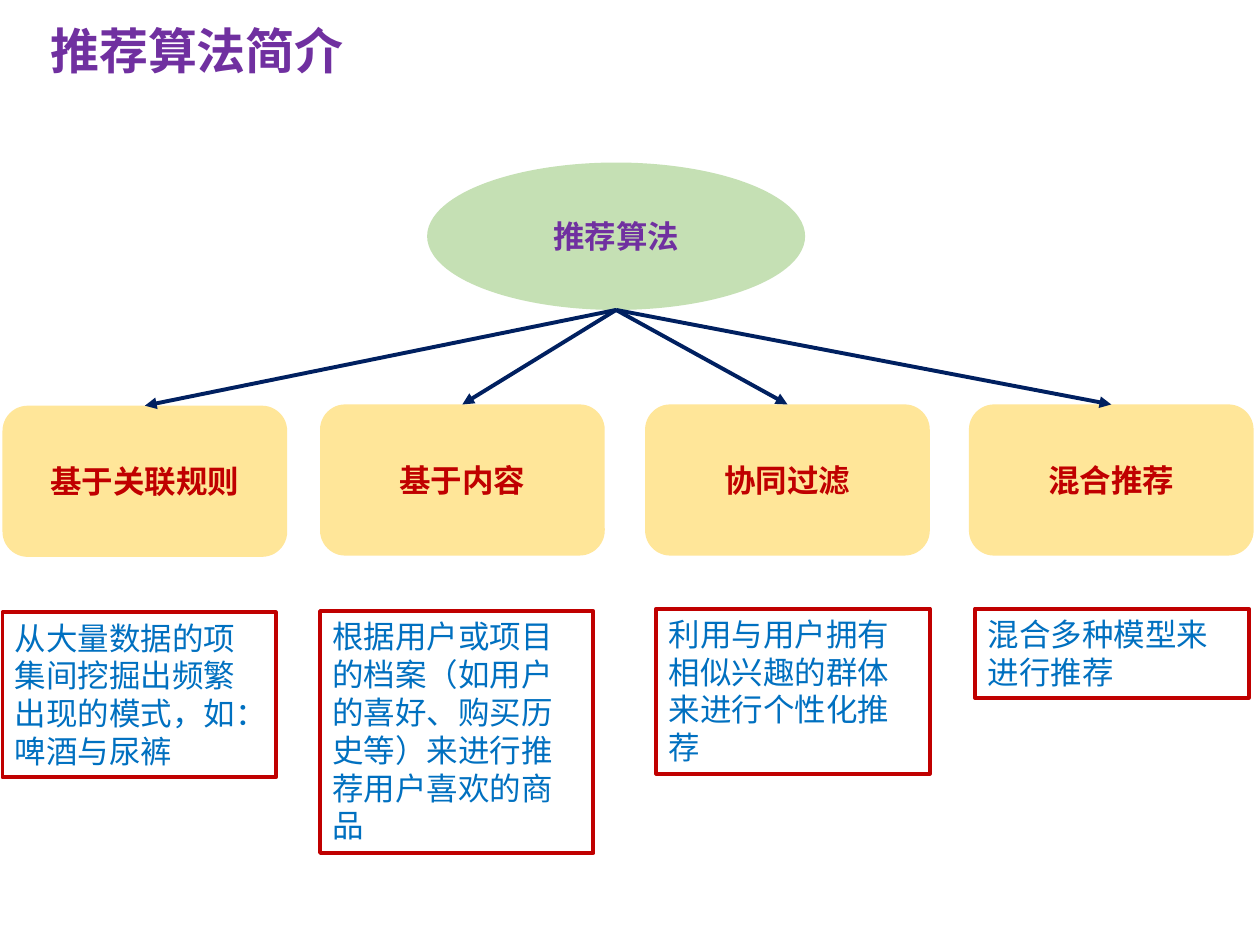
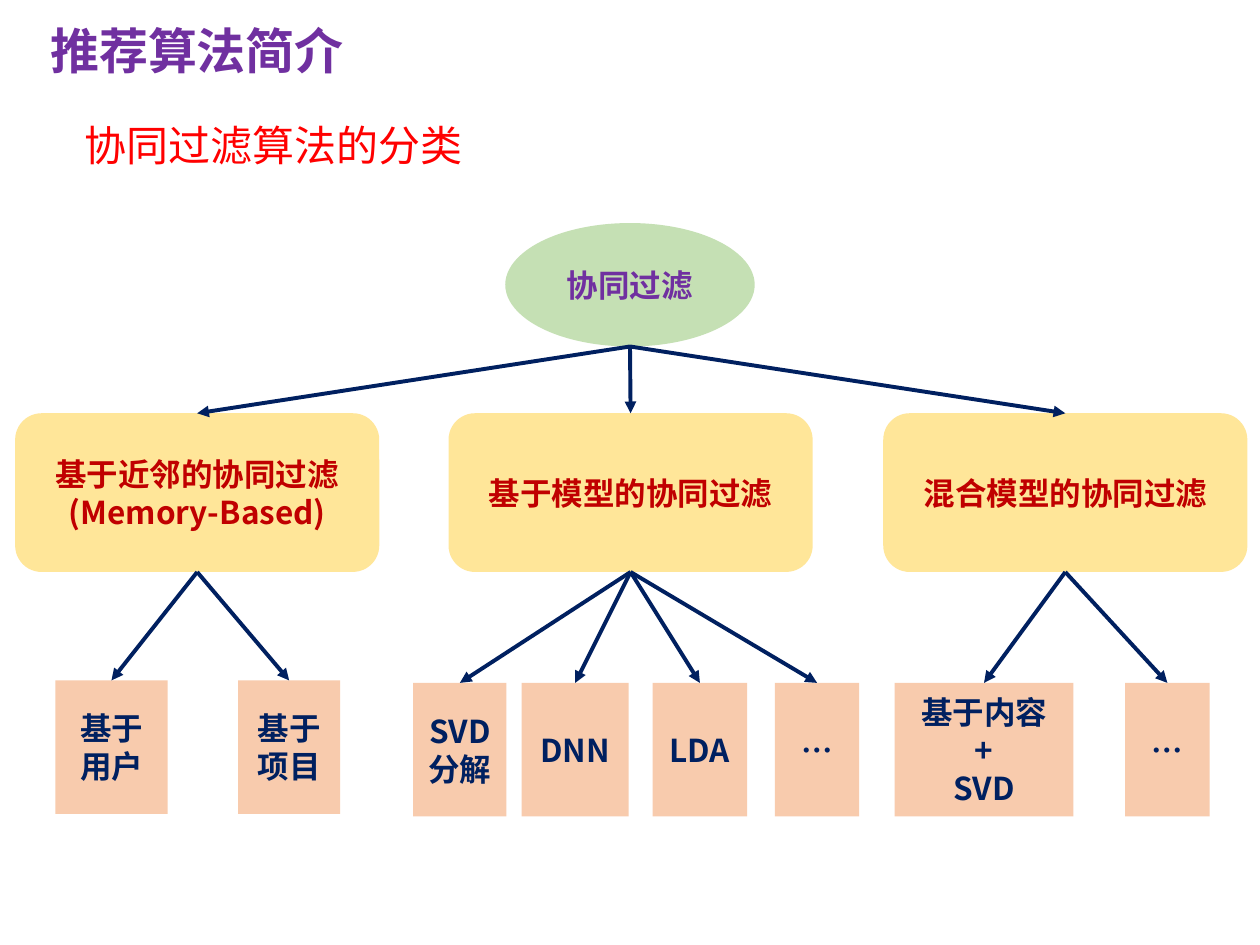
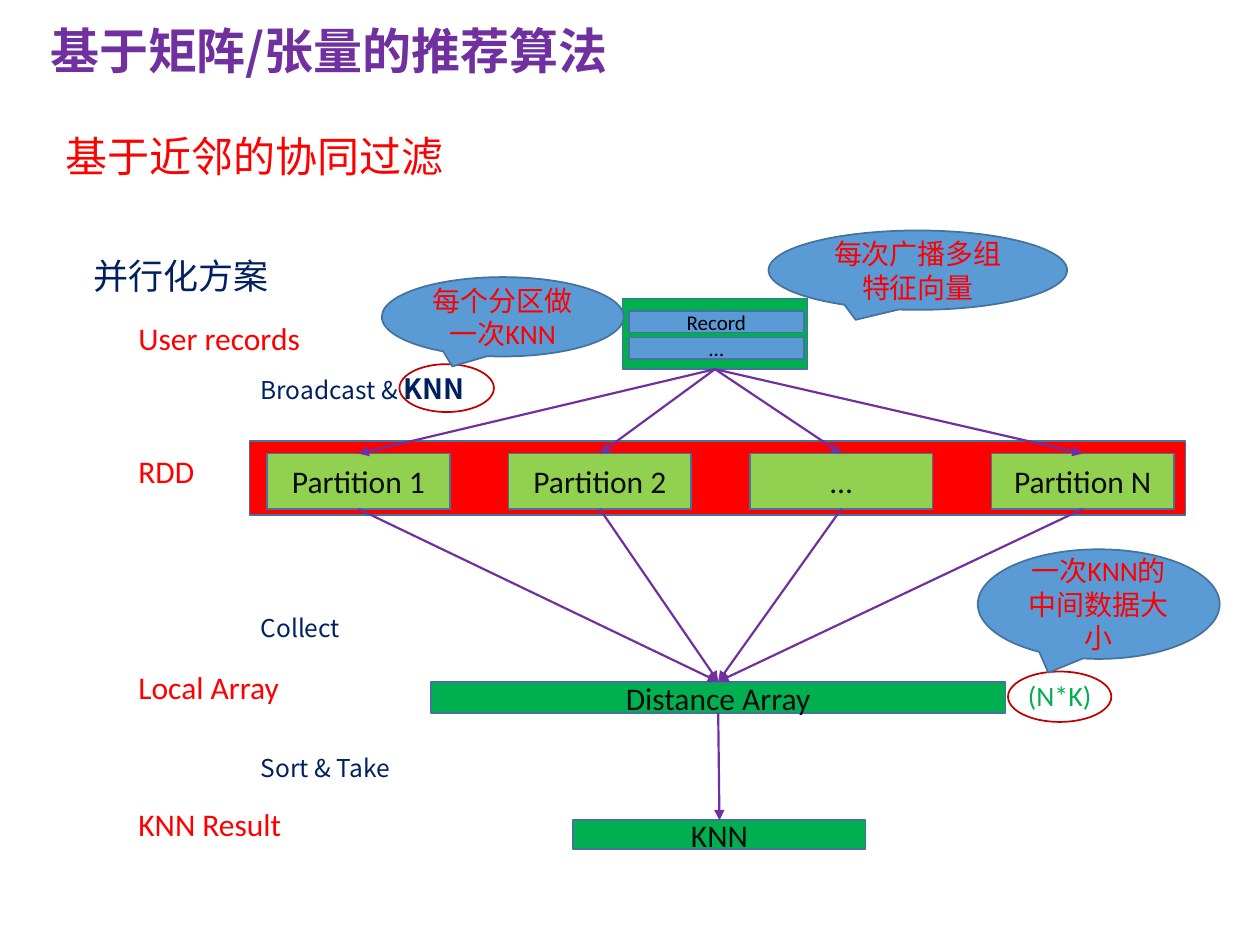
from dataclasses import dataclass
from typing import NamedTuple, Optional

from lxml.etree import SubElement
from pptx import Presentation
from pptx.dml.color import RGBColor
from pptx.enum.shapes import MSO_CONNECTOR, MSO_SHAPE
from pptx.enum.text import MSO_ANCHOR, PP_ALIGN
from pptx.oxml.ns import qn
from pptx.util import Inches, Pt

# Grid: 100 columns by 75 rows of square cells
COLUMNS, ROWS = 100, 75
CELL = Inches(10) // COLUMNS

CJK, LATIN = "Noto Sans CJK SC", "Calibri"
PURPLE, NAVY, RED, DARK_RED = "7030A0", "002060", "FF0000", "C00000"
GREEN, BLUE, EDGE, INK = "00B050", "5B9BD5", "43739E", "0D0D0D"


class Box(NamedTuple):
    """Left and width in columns, top and height in rows."""
    left: float
    top: float
    width: float
    height: float

    @property
    def middle(self) -> float:
        return self.left + self.width / 2

    @property
    def bottom(self) -> float:
        return self.top + self.height


@dataclass(frozen=True)
class Style:
    """Look of one kind of part; without a preset it is a plain text box."""
    size: float = 18
    color: str = INK
    font: str = CJK
    bold: bool = False
    preset: Optional[MSO_SHAPE] = None
    fill: Optional[str] = None
    line: Optional[str] = None
    line_width: float = 1
    centred: bool = True
    spacing: float = 1


class ArrowStyle(NamedTuple):
    color: str
    width: float


# Shared text styles
TITLE = Style(28, PURPLE, bold=True, centred=False)
SUBTITLE = Style(24, RED, centred=False)
SCHEME = Style(20, NAVY, centred=False, spacing=1.5)
STAGE = Style(18, RED, LATIN, centred=False)
STEP = Style(14, NAVY, centred=False)
SIZE_NOTE = Style(16, GREEN, LATIN, centred=False)

# Tree styles
ROOT = Style(color=PURPLE, bold=True, preset=MSO_SHAPE.OVAL, fill="C5E0B4")
BRANCH = Style(color=DARK_RED, bold=True, preset=MSO_SHAPE.ROUNDED_RECTANGLE, fill="FFE699")
LEAF = Style(color=NAVY, bold=True, preset=MSO_SHAPE.RECTANGLE, fill="F8CBAD")
SUMMARY = Style(color="0070C0", preset=MSO_SHAPE.RECTANGLE, line=DARK_RED,
                line_width=2.25, centred=False)
TREE_ARROW = ArrowStyle(NAVY, 2.25)

# Data flow styles
PARTITION = Style(font=LATIN, preset=MSO_SHAPE.RECTANGLE, fill="92D050", line=EDGE)
ARRAY = Style(font=LATIN, preset=MSO_SHAPE.RECTANGLE, fill=GREEN, line=EDGE)
RDD_BAND = Style(preset=MSO_SHAPE.RECTANGLE, fill=RED, line=EDGE)
RECORD = Style(12, "000000", LATIN, preset=MSO_SHAPE.RECTANGLE, fill=BLUE, line=EDGE)
CALLOUT = Style(16, RED, LATIN, preset=MSO_SHAPE.OVAL_CALLOUT, fill=BLUE, line=EDGE)
RING = Style(preset=MSO_SHAPE.OVAL, line=DARK_RED)
FLOW_ARROW = ArrowStyle(PURPLE, 1.25)


def rgb(value: str) -> RGBColor:
    return RGBColor.from_string(value)


def cells(count: float) -> int:
    return round(count * CELL)


def write(frame, text: str, style: Style) -> None:
    """Fill a text frame, one paragraph per line of text."""
    frame.word_wrap = True
    middle = style.preset and style.centred
    frame.vertical_anchor = MSO_ANCHOR.MIDDLE if middle else MSO_ANCHOR.TOP
    frame.text = text
    for paragraph in frame.paragraphs:
        paragraph.alignment = PP_ALIGN.CENTER if middle else PP_ALIGN.LEFT
        paragraph.line_spacing = style.spacing
        font = paragraph.font
        font.size, font.bold, font.name = Pt(style.size), style.bold, style.font
        font.color.rgb = rgb(style.color)
        defaults = paragraph._p.pPr.find(qn("a:defRPr"))
        SubElement(defaults, qn("a:ea"), typeface=CJK)


def draw(slide, box: Box, style: Style, text: str = ""):
    """Draw one part and return its text frame."""
    place = [cells(length) for length in box]
    if style.preset is None:
        part = slide.shapes.add_textbox(*place)
    else:
        part = slide.shapes.add_shape(style.preset, *place)
        part.shadow.inherit = False
        if style.fill:
            part.fill.solid()
            part.fill.fore_color.rgb = rgb(style.fill)
        else:
            part.fill.background()
        if style.line:
            part.line.color.rgb = rgb(style.line)
            part.line.width = Pt(style.line_width)
        else:
            part.line.fill.background()
    if text:
        write(part.text_frame, text, style)
    return part.text_frame


def arrow(slide, source: Box, target: Box, style: ArrowStyle) -> None:
    """Arrow from the bottom of one box to the top of another."""
    ends = (source.middle, source.bottom, target.middle, target.top)
    link = slide.shapes.add_connector(MSO_CONNECTOR.STRAIGHT, *map(cells, ends))
    link.line.color.rgb = rgb(style.color)
    link.line.width = Pt(style.width)
    SubElement(link.line._get_or_add_ln(), qn("a:tailEnd"), type="triangle")
    SubElement(link._element.spPr, qn("a:effectLst"))


def titled_slide(deck, title: str):
    slide = deck.slides.add_slide(deck.slide_layouts[6])
    draw(slide, Box(3, 1.1, 69.1, 5.7), TITLE, title)
    return slide


def overview_slide(deck) -> None:
    slide = titled_slide(deck, "推荐算法简介")
    root = Box(33.9, 12.9, 30, 11.7)
    draw(slide, root, ROOT, "推荐算法")

    # Method, its left and top, then the summary's left, top and height
    methods = [
        ("基于关联规则", 0.2, 32.2, 0.2, 48.6, 13.1,
         "从大量数据的项集间挖掘出频繁出现的模式，如：啤酒与尿裤"),
        ("基于内容", 25.4, 32.1, 25.4, 48.5, 19.2,
         "根据用户或项目的档案（如用户的喜好、购买历史等）来进行推荐用户喜欢的商品"),
        ("协同过滤", 51.2, 32.1, 52.1, 48.3, 13.1,
         "利用与用户拥有相似兴趣的群体来进行个性化推荐"),
        ("混合推荐", 76.9, 32.1, 77.4, 48.3, 7.1, "混合多种模型来进行推荐"),
    ]
    for name, left, top, summary_left, summary_top, height, summary in methods:
        branch = Box(left, top, 22.6, 12)
        draw(slide, branch, BRANCH, name)
        draw(slide, Box(summary_left, summary_top, 21.7, height), SUMMARY, summary)
        arrow(slide, root, branch, TREE_ARROW)


def filtering_slide(deck) -> None:
    slide = titled_slide(deck, "推荐算法简介")
    draw(slide, Box(5.7, 9, 59.8, 5), SUBTITLE, "协同过滤算法的分类")
    root = Box(40.1, 17.7, 19.8, 9.8)
    draw(slide, root, ROOT, "协同过滤")

    # Family, its left, the top of its leaves, then each leaf's left and width
    families = [
        ("基于近邻的协同过滤\n(Memory-Based)", 1.2, 54,
         [("基于用户", 4.4, 8.9), ("基于项目", 18.9, 8.1)]),
        ("基于模型的协同过滤", 35.6, 54.2,
         [("SVD分解", 32.8, 7.4), ("DNN", 41.4, 8.5), ("LDA", 51.8, 7.5), ("…", 61.5, 6.7)]),
        ("混合模型的协同过滤", 70.1, 54.2,
         [("基于内容\n+\nSVD", 71, 14.2), ("…", 89.3, 6.7)]),
    ]
    for name, left, leaf_top, leaves in families:
        branch = Box(left, 32.8, 28.9, 12.6)
        draw(slide, branch, BRANCH, name)
        arrow(slide, root, branch, TREE_ARROW)
        for leaf_name, leaf_left, width in leaves:
            leaf = Box(leaf_left, leaf_top, width, 10.6)
            draw(slide, leaf, LEAF, leaf_name)
            arrow(slide, branch, leaf, TREE_ARROW)


def parallel_slide(deck) -> None:
    slide = titled_slide(deck, "基于矩阵/张量的推荐算法")
    draw(slide, Box(4.2, 9.9, 67.9, 5), SUBTITLE, "基于近邻的协同过滤")
    draw(slide, Box(6.4, 18, 93.6, 5.5), SCHEME, "并行化方案")

    # Rings around the marked terms
    draw(slide, Box(80, 53.3, 8.2, 4), RING)
    draw(slide, Box(31.7, 28.9, 7.5, 3.8), RING)

    # Records, partitions, distances and result
    records = Box(49.4, 23.7, 14.7, 5.6)
    distances = Box(34.2, 54.1, 45.6, 2.5)
    result = Box(45.5, 65.1, 23.2, 2.3)
    draw(slide, Box(19.8, 35, 74.3, 5.9), RDD_BAND)
    draw(slide, records, ARRAY)
    draw(slide, distances, ARRAY, "Distance Array")
    draw(slide, result, ARRAY, "KNN")
    for index, name in enumerate(["Partition 1", "Partition 2", "…", "Partition N"]):
        partition = Box(21.2 + 19.16 * index, 36, 14.5, 4.4)
        draw(slide, partition, PARTITION, name)
        arrow(slide, records, partition, FLOW_ARROW)
        arrow(slide, partition, distances, FLOW_ARROW)
    arrow(slide, distances, result, FLOW_ARROW)

    # Steps between the stages
    broadcast = draw(slide, Box(19.7, 29, 22.3, 3.7), STEP, "Broadcast & ")
    emphasis = broadcast.paragraphs[0].add_run()
    emphasis.text = "KNN"
    emphasis.font.size, emphasis.font.bold = Pt(16), True
    for name, top in [("Collect", 48.2), ("Sort & Take", 59.3)]:
        draw(slide, Box(19.7, top, 22.3, 3.4), STEP, name)

    # Stage names
    for name, top in [("User records", 24.8), ("RDD", 35.4),
                      ("Local Array", 52.5), ("KNN Result", 63.4)]:
        draw(slide, Box(10, top, 18.9, 4), STAGE, name)
    draw(slide, Box(80.6, 53.4, 11.2, 3.7), SIZE_NOTE, "(N*K)")

    # Callouts, then the rows inside the records
    draw(slide, Box(77.6, 43.6, 19.2, 8.7), CALLOUT, "一次KNN的中间数据大小")
    draw(slide, Box(30.3, 22, 19.2, 6.3), CALLOUT, "每个分区做一次KNN")
    draw(slide, Box(61, 18.3, 23.7, 6.3), CALLOUT, "每次广播多组特征向量")
    for index, name in enumerate(["Record", "…"]):
        draw(slide, Box(49.9, 24.7 + 2.1 * index, 13.9, 1.7), RECORD, name)


def main() -> None:
    deck = Presentation()
    deck.slide_width, deck.slide_height = cells(COLUMNS), cells(ROWS)
    overview_slide(deck)
    filtering_slide(deck)
    parallel_slide(deck)
    deck.save("out.pptx")


if __name__ == "__main__":
    main()
